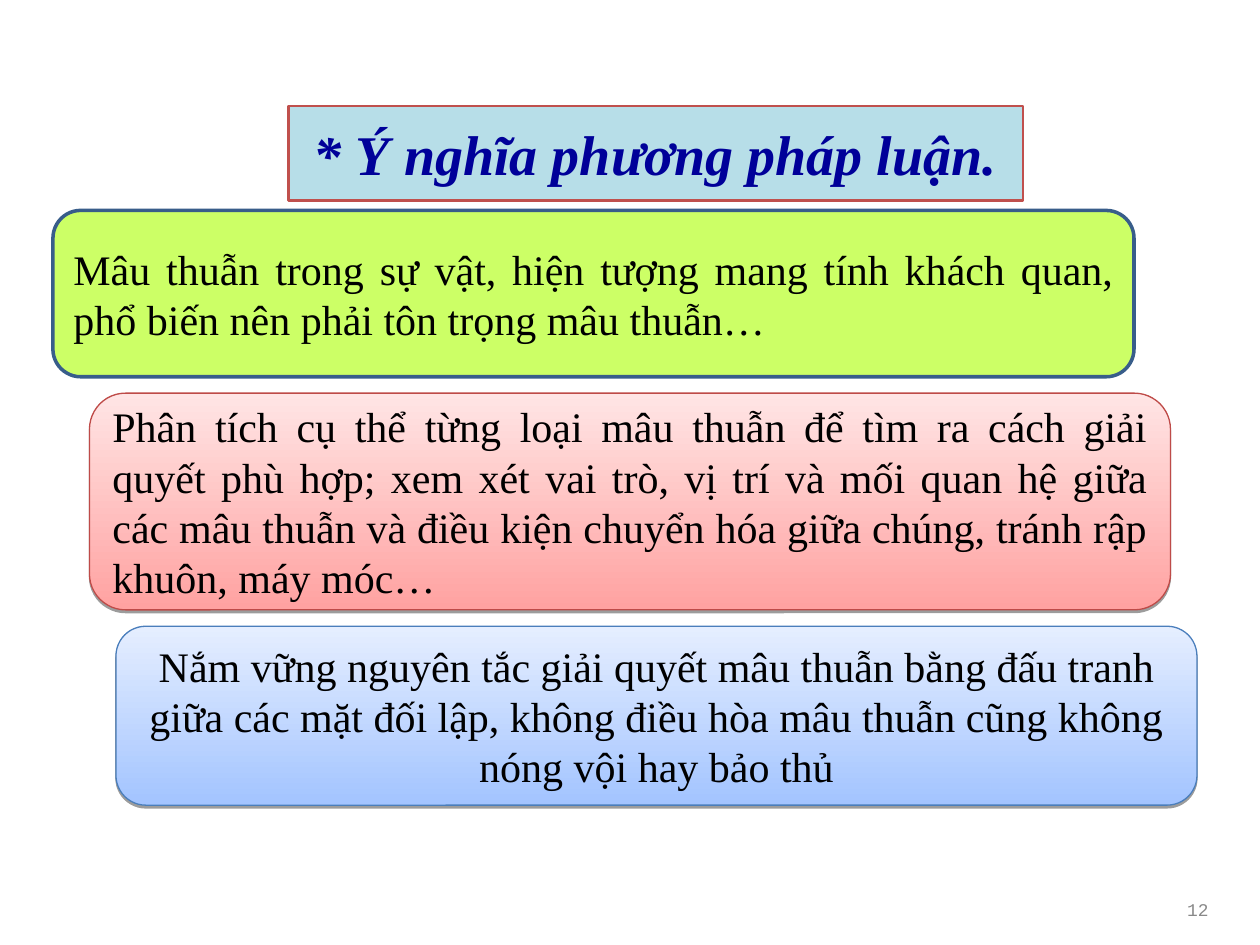
from lxml.etree import SubElement
from pptx import Presentation
from pptx.dml.color import RGBColor
from pptx.enum.shapes import MSO_SHAPE
from pptx.enum.text import MSO_ANCHOR, PP_ALIGN
from pptx.oxml.ns import qn
from pptx.util import Inches, Pt

COLORS = {
    "title_fill": "B7DEE8", "title_line": "C0504D", "title_text": "000099",
    "green": "CCFF66", "green_line": "385D8A",
    "red_dark": "FFA2A1", "red_light": "FFE5E5", "red_line": "BE4B48",
    "blue_dark": "A3C4FF", "blue_light": "E5EEFF", "blue_line": "4A7EBB",
    "text": "000000", "number": "898989", "shadow": "000000",
}
SERIF = "Times New Roman"


def color(name):
    return RGBColor.from_string(COLORS[name])


def write(shape, text, size, font, text_color, alignment):
    frame = shape.text_frame
    frame.word_wrap = True
    frame.vertical_anchor = MSO_ANCHOR.MIDDLE
    paragraph = frame.paragraphs[0]
    paragraph.text = text
    paragraph.alignment = alignment
    paragraph.font.size = Pt(size)
    paragraph.font.name = font
    paragraph.font.color.rgb = color(text_color)
    return paragraph


presentation = Presentation()
presentation.slide_width = Inches(10)
presentation.slide_height = Inches(7.5)
slide = presentation.slides.add_slide(presentation.slide_layouts[6])

# Title
title = slide.shapes.add_shape(
    MSO_SHAPE.RECTANGLE, Inches(2.29), Inches(0.84), Inches(5.83), Inches(0.75))
title.shadow.inherit = False
title.fill.solid()
title.fill.fore_color.rgb = color("title_fill")
title.line.color.rgb = color("title_line")
title.line.width = Pt(1.5)
heading = write(title, "* Ý nghĩa phương pháp luận.", 32, SERIF, "title_text", PP_ALIGN.CENTER)
heading.font.bold = True
heading.font.italic = True

# Stepped boxes: left, height, fill colours, line colour, line width, alignment, text
BOX_WIDTH, BOX_GAP = 8.58, 0.13
boxes = [
    (0.42, 1.32, ["green"], "green_line", 2, PP_ALIGN.JUSTIFY,
     "Mâu thuẫn trong sự vật, hiện tượng mang tính khách quan, phổ biến nên "
     "phải tôn trọng mâu thuẫn…"),
    (0.71, 1.72, ["red_dark", "red_light"], "red_line", 0.75, PP_ALIGN.JUSTIFY,
     "Phân tích cụ thể từng loại mâu thuẫn để tìm ra cách giải quyết phù hợp; "
     "xem xét vai trò, vị trí và mối quan hệ giữa các mâu thuẫn và điều kiện "
     "chuyển hóa giữa chúng, tránh rập khuôn, máy móc…"),
    (0.92, 1.42, ["blue_dark", "blue_light"], "blue_line", 0.75, PP_ALIGN.CENTER,
     "Nắm vững nguyên tắc giải quyết mâu thuẫn bằng đấu tranh giữa các mặt đối "
     "lập, không điều hòa mâu thuẫn cũng không nóng vội hay bảo thủ"),
]
top = 1.67
for left, height, fills, line, line_width, alignment, text in boxes:
    box = slide.shapes.add_shape(
        MSO_SHAPE.ROUNDED_RECTANGLE,
        Inches(left), Inches(top), Inches(BOX_WIDTH), Inches(height))
    box.shadow.inherit = False
    box.line.color.rgb = color(line)
    box.line.width = Pt(line_width)
    if len(fills) == 1:
        box.fill.solid()
        box.fill.fore_color.rgb = color(fills[0])
    else:
        box.fill.gradient()
        box.fill.gradient_angle = 90
        for stop, name, position in zip(box.fill.gradient_stops, fills, (0, 1)):
            stop.color.rgb = color(name)
            stop.position = position
        effects = box._element.spPr.find(qn("a:effectLst"))
        shadow = SubElement(effects, qn("a:outerShdw"), blurRad="0",
                            dist=str(Pt(1.6)), dir="5400000", rotWithShape="0")
        shade = SubElement(shadow, qn("a:srgbClr"), val=COLORS["shadow"])
        SubElement(shade, qn("a:alpha"), val="38000")
    write(box, text, 24, SERIF, "text", alignment)
    top += height + BOX_GAP

# Slide number
number = slide.shapes.add_textbox(Inches(8.89), Inches(7.08), Inches(0.8), Inches(0.3))
write(number, "12", 10.2, "Courier New", "number", PP_ALIGN.RIGHT).line_spacing = 0.9

presentation.save("out.pptx")
